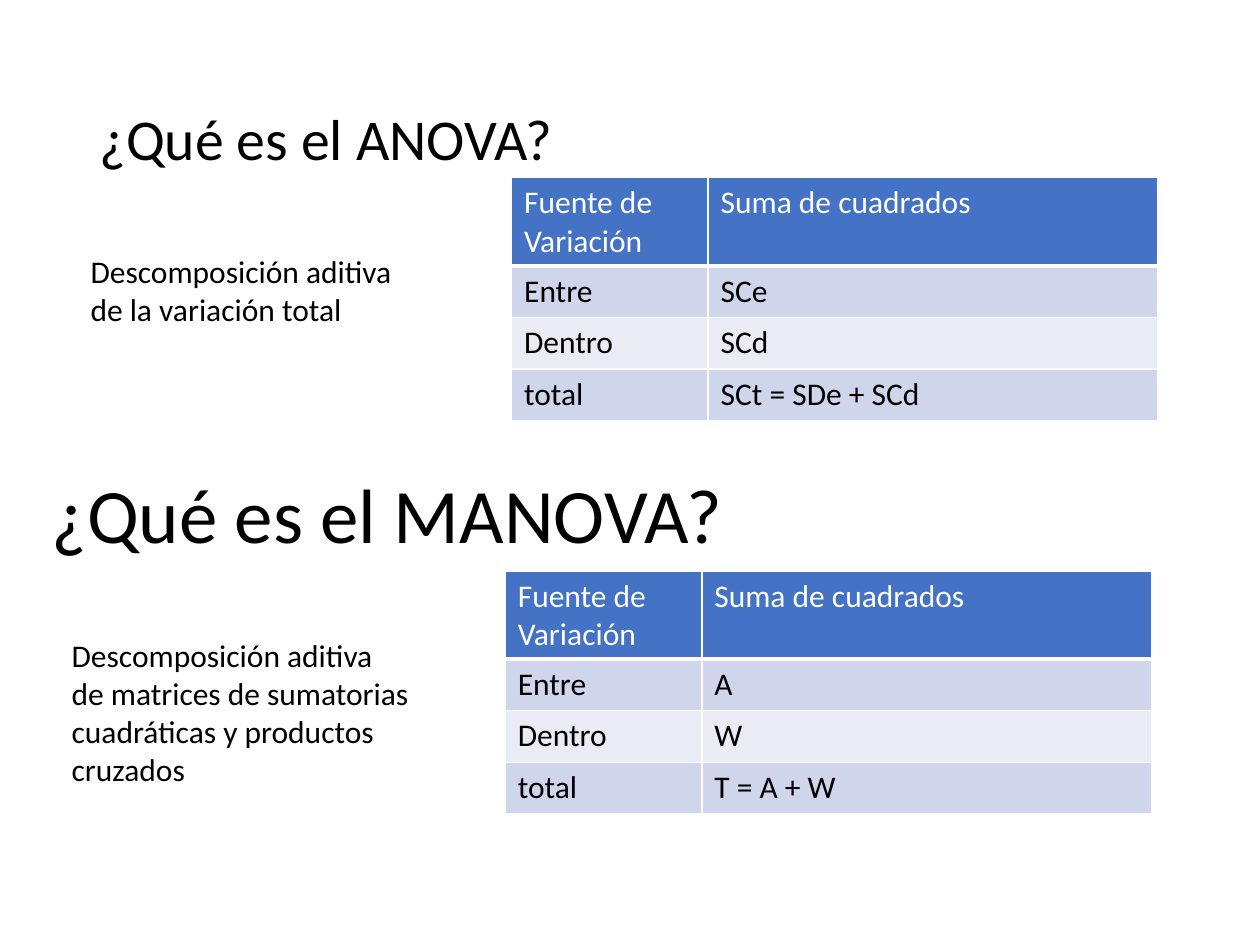
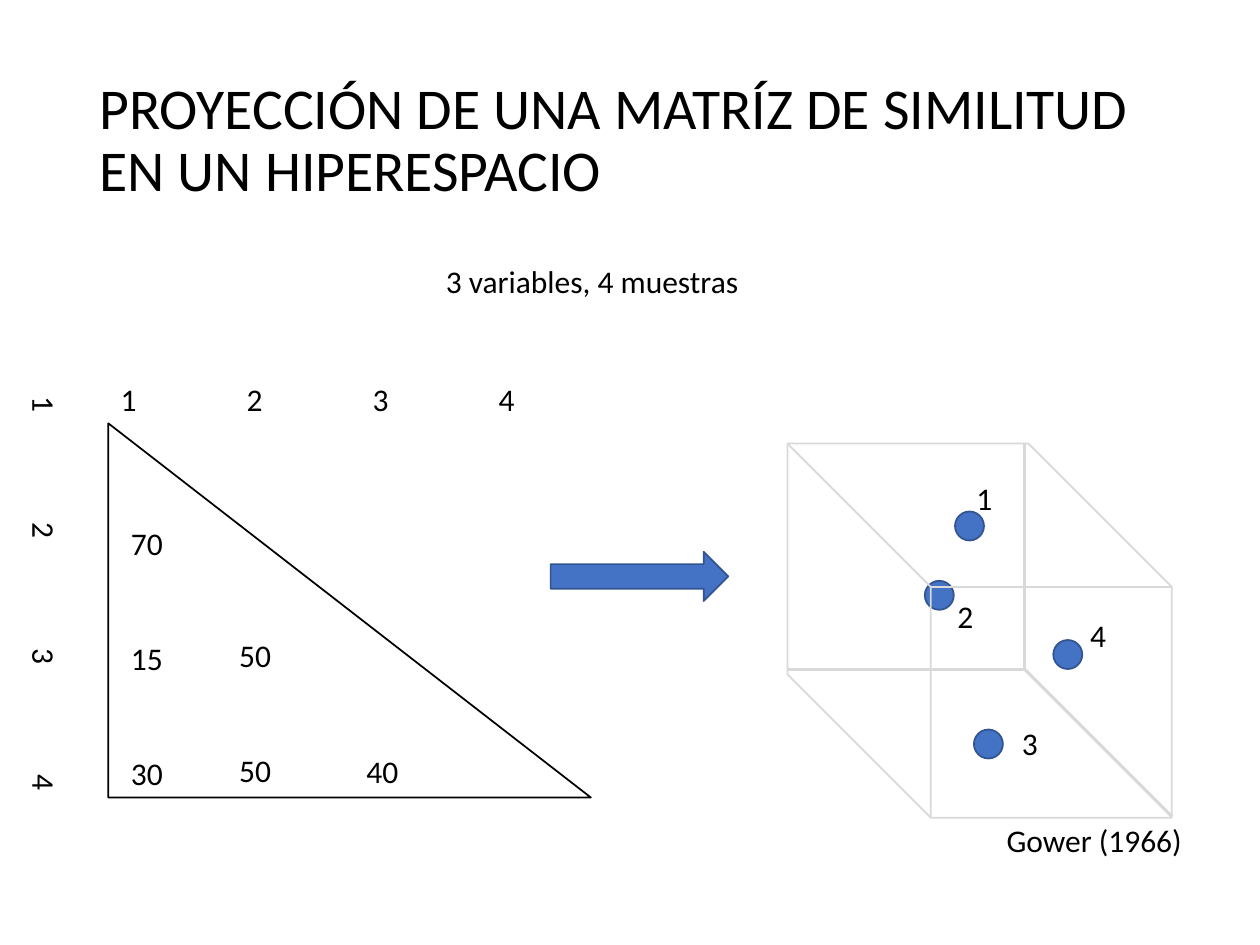
from lxml.etree import SubElement
from pptx import Presentation
from pptx.dml.color import RGBColor
from pptx.enum.shapes import MSO_CONNECTOR as Connector, MSO_SHAPE as Shape
from pptx.enum.text import MSO_ANCHOR as Anchor
from pptx.oxml.ns import qn
from pptx.util import Inches, Pt

COLOURS = {
    "ink": "000000",
    "paper": "FFFFFF",
    "accent": "4472C4",
    "accent_edge": "325491",
    "band_dark": "CFD5EA",
    "band_light": "E9EBF5",
    "guide": "D9D9D9",
}
FONT = "Calibri"
BODY_SIZE = 18
HEADER = ("Fuente de Variación", "Suma de cuadrados")


def colour(name):
    return RGBColor.from_string(COLOURS[name])


class SlideBuilder:
    def __init__(self, deck):
        self.deck = deck
        self.page = None

    def new_page(self):
        self.page = self.deck.slides.add_slide(self.deck.slide_layouts[6])

    def style(self, para, size=BODY_SIZE, ink="ink"):
        para.font.name = FONT
        para.font.size = Pt(size)
        para.font.color.rgb = colour(ink)

    def text(self, frame, lines, size=BODY_SIZE, anchor=Anchor.TOP, gap=0, leading=None):
        box = self.page.shapes.add_textbox(*map(Inches, frame))
        body = box.text_frame
        body.word_wrap = True
        body.vertical_anchor = anchor
        body.text = "\n".join(lines)
        for index, para in enumerate(body.paragraphs):
            self.style(para, size)
            if index:
                para.space_before = Pt(gap)
            if leading:
                para.line_spacing = leading
        return box

    def title(self, wording):
        self.text((0.69, 0.4, 8.62, 1.45), [wording], 33, Anchor.MIDDLE, leading=0.9)

    def axis(self, frame, labels, rotation=0):
        box = self.text(frame, ["\t".join(labels)])
        box.rotation = rotation
        properties = box.text_frame.paragraphs[0]._p.get_or_add_pPr()
        stops = properties.makeelement(qn("a:tabLst"), {})
        properties.insert_element_before(stops, "a:defRPr", "a:extLst")
        for step in range(1, len(labels)):
            SubElement(stops, qn("a:tab"), pos=str(Inches(step)), algn="l")

    def shape(self, kind, frame, line, fill=None):
        item = self.page.shapes.add_shape(kind, *map(Inches, frame))
        item.shadow.inherit = False
        if fill:
            item.fill.solid()
            item.fill.fore_color.rgb = colour(fill)
        else:
            item.fill.background()
        item.line.color.rgb = colour(line)
        item.line.width = Pt(1)
        return item

    def line(self, start, end, ink, width):
        item = self.page.shapes.add_connector(
            Connector.STRAIGHT, *map(Inches, (*start, *end)))
        item.line.color.rgb = colour(ink)
        item.line.width = Pt(width)
        SubElement(item._element.spPr, qn("a:effectLst"))

    def border(self, cell, bottom):
        properties = cell._tc.get_or_add_tcPr()
        for side, width in (("L", 1), ("R", 1), ("T", 1), ("B", bottom)):
            edge = SubElement(properties, qn(f"a:ln{side}"), w=str(Pt(width)))
            solid = SubElement(edge, qn("a:solidFill"))
            SubElement(solid, qn("a:srgbClr"), val=COLOURS["paper"])

    def table(self, left, top, rows):
        grid = self.page.shapes.add_table(
            len(rows), 2, *map(Inches, (left, top, 5.13, 1.92))).table
        for column, width in zip(grid.columns, (1.56, 3.57)):
            column.width = Inches(width)
        for r, row in enumerate(rows):
            grid.rows[r].height = Inches(0.41 if r else 0.7)
            band = "band_dark" if r % 2 else "band_light"
            for c, wording in enumerate(row):
                cell = grid.cell(r, c)
                cell.text = wording
                self.style(cell.text_frame.paragraphs[0], ink="ink" if r else "paper")
                self.border(cell, 1 if r else 3)
                cell.fill.solid()
                cell.fill.fore_color.rgb = colour(band if r else "accent")


def variance_page(builder):
    builder.new_page()
    builder.title("¿Qué es el ANOVA?")
    builder.text((0.31, 3.44, 9, 1.25), ["¿Qué es el MANOVA?"], 44, Anchor.MIDDLE)
    sources = ("Entre", "Dentro", "total")
    for left, top, sums in (
        (4.06, 1.41, ("SCe", "SCd", "SCt = SDe + SCd")),
        (4.01, 4.53, ("A", "W", "T = A + W")),
    ):
        builder.table(left, top, [HEADER, *zip(sources, sums)])
    builder.text((0.62, 1.95, 2.89, 0.71), ["Descomposición aditiva de la variación total"])
    builder.text((0.47, 5, 2.89, 1.31), [
        "Descomposición aditiva de matrices de sumatorias cuadráticas y productos cruzados"])


def projection_page(builder):
    builder.new_page()
    builder.title("PROYECCIÓN DE UNA MATRÍZ DE SIMILITUD EN UN HIPERESPACIO")
    builder.shape(Shape.RIGHT_TRIANGLE, (0.86, 3.36, 3.83, 2.97), "ink")
    samples = ("1", "2", "3", "4")
    builder.axis((0.86, 2.97, 3.75, 0.4), samples)
    builder.axis((-1.52, 4.72, 3.75, 0.4), samples, 90)
    builder.shape(Shape.RIGHT_ARROW, (4.37, 4.38, 1.41, 0.39), "accent_edge", "accent")

    for sample, dot, label in (
        ("1", (7.58, 4.06), (7.65, 3.75, 0.23)),
        ("2", (7.34, 4.61), (7.5, 4.69, 0.23)),
        ("3", (7.73, 5.79), (8.05, 5.7, 0.16)),
        ("4", (8.36, 5.08), (8.59, 4.84, 0.16)),
    ):
        builder.shape(Shape.OVAL, (*dot, 0.23, 0.23), "accent_edge", "accent")
        builder.text((*label, 0.4), [sample])

    for frame, similarities in (
        ((0.94, 4.11, 0.7, 2.22), ["70", "15", "30"]),
        ((1.8, 5, 0.7, 1.31), ["50", "50"]),
        ((2.81, 5.92, 0.63, 0.4), ["40"]),
    ):
        builder.text(frame, similarities, gap=44)

    cube = builder.shape(Shape.CUBE, (6.29, 3.48, 2.97, 3.05), "guide")
    cube.rotation = 270
    cube.adjustments[0] = 0.383
    hidden_corner = (8.13, 5.31)
    for end in ((6.25, 5.31), (8.13, 3.52), (9.3, 6.48)):
        builder.line(hidden_corner, end, "guide", 1.75)

    builder.text((3.44, 2.03, 4.53, 0.4), ["3 variables, 4 muestras"])
    builder.text((7.89, 6.47, 1.72, 0.4), ["Gower (1966)"])


def main():
    deck = Presentation()
    deck.slide_width = Inches(10)
    deck.slide_height = Inches(7.5)
    builder = SlideBuilder(deck)
    variance_page(builder)
    projection_page(builder)
    deck.save("out.pptx")


if __name__ == "__main__":
    main()
